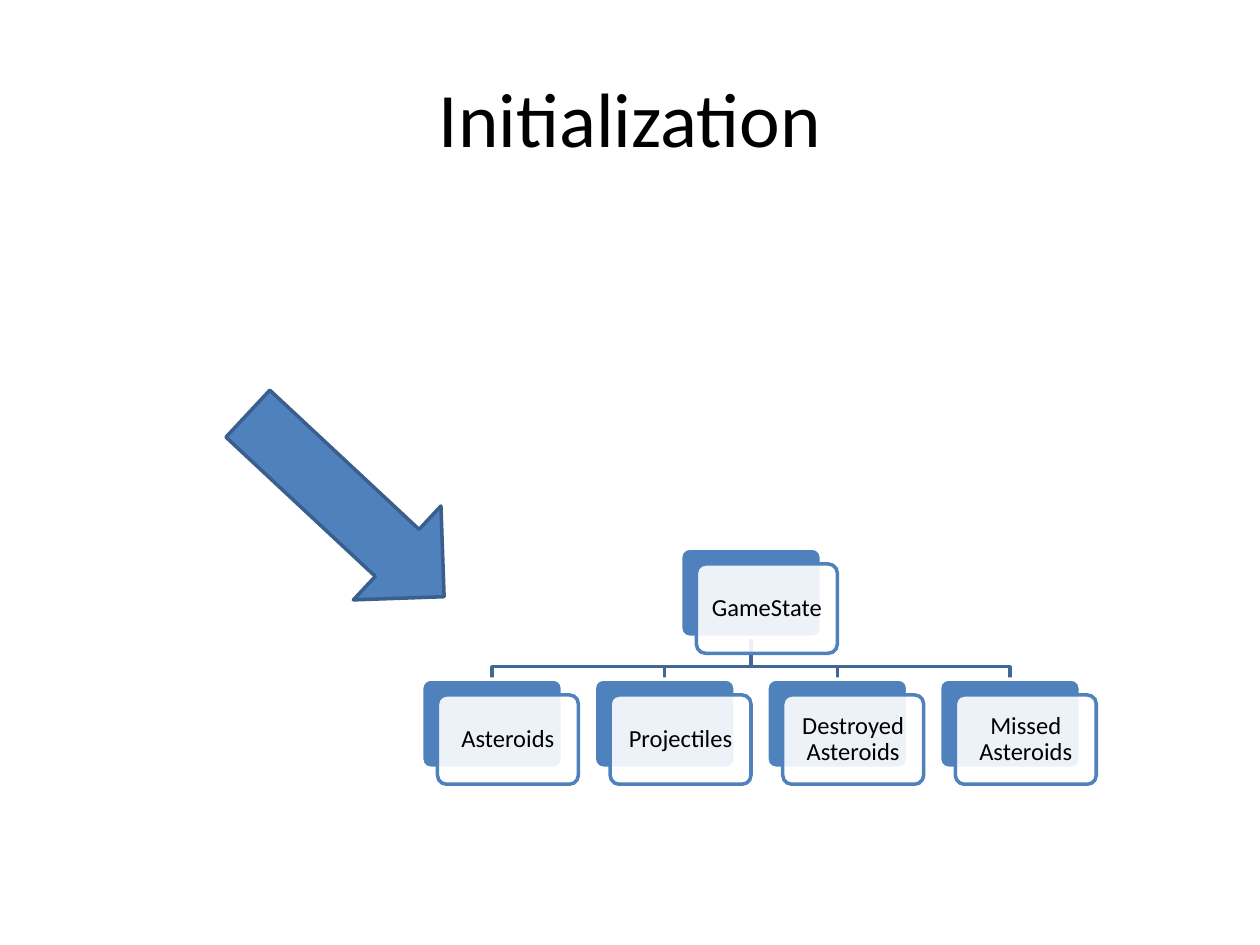
import pptx
import pptx.util
import pptx.dml.color
import pptx.enum.shapes
import pptx.enum.text
import pptx.oxml.ns
import lxml.etree

Cm = pptx.util.Cm
SHAPE = pptx.enum.shapes.MSO_SHAPE
BLUE, WHITE, BLACK = "4F81BD", "FFFFFF", "000000"


def color(hex_string):
    return pptx.dml.color.RGBColor.from_string(hex_string)


def style(shape, fill, line):
    shape.shadow.inherit = False
    if fill:
        shape.fill.solid()
        shape.fill.fore_color.rgb = color(fill)
    else:
        shape.fill.background()
    shape.line.color.rgb = color(line)
    shape.line.width = pptx.util.Pt(2)


deck = pptx.Presentation()
deck.slide_width, deck.slide_height = Cm(25.4), Cm(19.05)
slide = deck.slides.add_slide(deck.slide_layouts[5])
shapes = slide.shapes

# Title
title = shapes.title
place = {"left": Cm(1.27), "top": Cm(0.76), "width": Cm(22.86), "height": Cm(3.18)}
for name, value in place.items():
    setattr(title, name, value)
title.text_frame.text = "Initialization"
title.text_frame.vertical_anchor = pptx.enum.text.MSO_ANCHOR.MIDDLE
heading = title.text_frame.paragraphs[0]
heading.alignment = pptx.enum.text.PP_ALIGN.CENTER
heading_format = {"name": "Calibri", "size": pptx.util.Pt(44)}
for name, value in heading_format.items():
    setattr(heading.font, name, value)
heading.font.color.rgb = color(BLACK)

# Tree measures, in centimetres
node_width, node_height, card_offset = 2.84, 1.8, 0.32
first_left, pitch = 8.5, 3.48
root_top, child_top = 11.05, 13.69
branch_height = 13.44
children = [["Asteroids"], ["Projectiles"],
            ["Destroyed", "Asteroids"], ["Missed", "Asteroids"]]
child_lefts = [first_left + i * pitch for i in range(len(children))]
root_left = (child_lefts[0] + child_lefts[-1]) / 2

# Branches from the root to each child
root_center = root_left + node_width / 2
for left in reversed(child_lefts):
    child_center = left + node_width / 2
    builder = shapes.build_freeform(Cm(root_center), Cm(root_top + node_height))
    builder.add_line_segments([
        (Cm(root_center), Cm(branch_height)),
        (Cm(child_center), Cm(branch_height)),
        (Cm(child_center), Cm(child_top)),
    ], close=False)
    style(builder.convert_to_shape(), None, "3F6797")

# Nodes: a blue plate behind a translucent labelled card
nodes = [(root_left, root_top, ["GameState"])]
nodes += [(left, child_top, lines) for left, lines in zip(child_lefts, children)]
frame_format = {
    "margin_left": Cm(0.2), "margin_right": Cm(0.2),
    "margin_top": Cm(0.2), "margin_bottom": Cm(0.2),
    "word_wrap": True, "vertical_anchor": pptx.enum.text.MSO_ANCHOR.MIDDLE,
}
label_format = {"name": "Calibri", "size": pptx.util.Pt(14)}
for left, top, lines in nodes:
    for offset, fill, line in ((0, BLUE, WHITE), (card_offset, WHITE, BLUE)):
        card = shapes.add_shape(SHAPE.ROUNDED_RECTANGLE, Cm(left + offset),
                                Cm(top + offset), Cm(node_width), Cm(node_height))
        card.adjustments[0] = 0.1
        style(card, fill, line)

    card_color = card.fill._xPr.find(".//" + pptx.oxml.ns.qn("a:srgbClr"))
    lxml.etree.SubElement(card_color, pptx.oxml.ns.qn("a:alpha"), val="90000")

    for name, value in frame_format.items():
        setattr(card.text_frame, name, value)
    label = card.text_frame.paragraphs[0]
    label.alignment = pptx.enum.text.PP_ALIGN.CENTER
    label.line_spacing = 0.9
    for i, words in enumerate(lines):
        if i:
            label.add_line_break()
        run = label.add_run()
        run.text = words
        for name, value in label_format.items():
            setattr(run.font, name, value)
        run.font.color.rgb = color(BLACK)

# Arrow pointing to the tree
arrow = shapes.add_shape(SHAPE.RIGHT_ARROW, Cm(4.27), Cm(8.89), Cm(5.41), Cm(2.59))
arrow.rotation = 43
style(arrow, BLUE, "3A5F8C")

deck.save("out.pptx")
